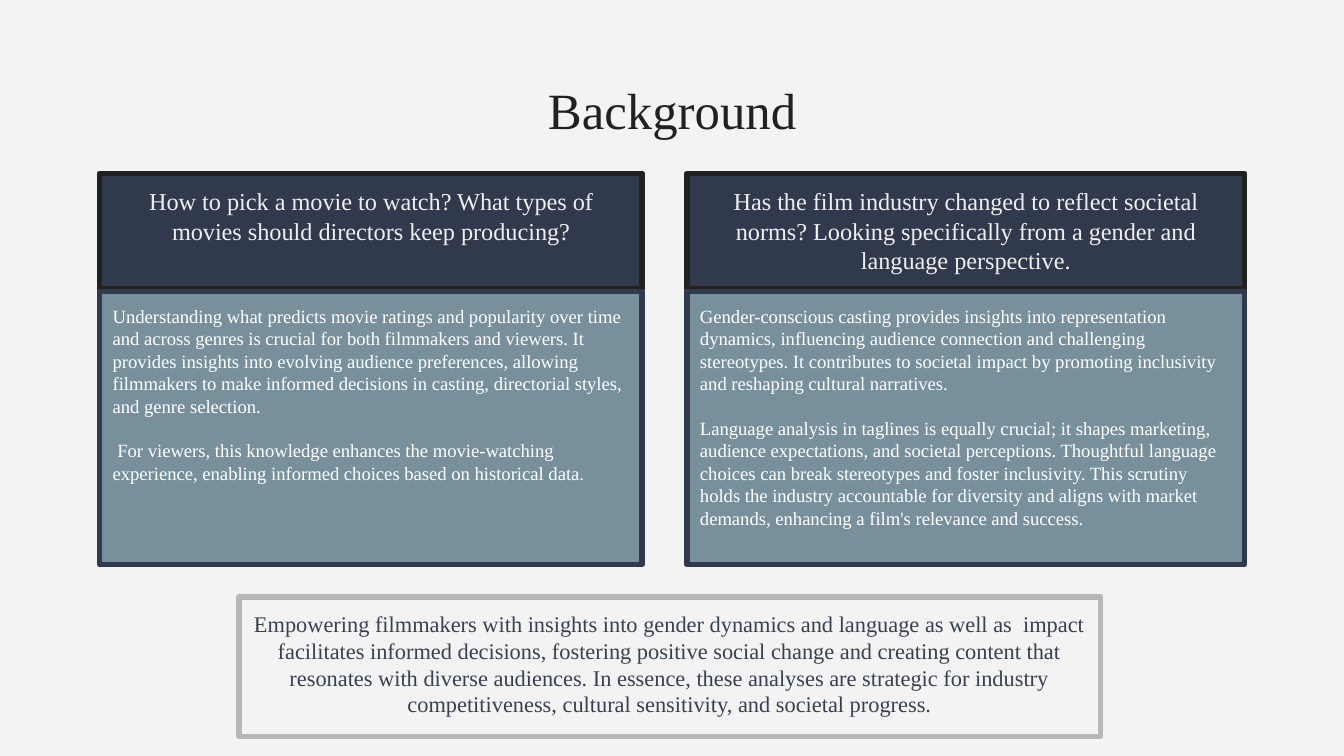
from pptx import Presentation
from pptx.dml.color import RGBColor
from pptx.enum.shapes import MSO_SHAPE
from pptx.enum.text import MSO_ANCHOR, PP_ALIGN
from pptx.util import Cm, Pt

BACKGROUND = RGBColor(0xF3, 0xF3, 0xF3)
BLACK = RGBColor(0x21, 0x21, 0x21)
NAVY = RGBColor(0x31, 0x39, 0x4D)
SLATE = RGBColor(0x78, 0x90, 0x9C)
GREY = RGBColor(0xB7, 0xB7, 0xB7)
PALE = RGBColor(0xEF, 0xEF, 0xEF)
WHITE = RGBColor(0xFF, 0xFF, 0xFF)
DARK_GREY = RGBColor(0x37, 0x41, 0x51)


def write_text(shape, *texts, size, color, align=PP_ALIGN.CENTER, gap=0):
    """Fill the shape with one paragraph per text, gap points apart."""
    frame = shape.text_frame
    frame.word_wrap = True
    frame.vertical_anchor = MSO_ANCHOR.TOP
    frame.margin_left = frame.margin_right = Cm(0.25)
    frame.margin_top = frame.margin_bottom = Cm(0.25)
    for index, text in enumerate(texts):
        paragraph = frame.add_paragraph() if index else frame.paragraphs[0]
        paragraph.alignment = align
        paragraph.space_before = Pt(gap if index else 0)
        run = paragraph.add_run()
        run.text = text
        run.font.name = "Times New Roman"
        run.font.size = Pt(size)
        run.font.color.rgb = color


def add_box(left, top, width, height, fill, line):
    box = slide.shapes.add_shape(
        MSO_SHAPE.RECTANGLE, Cm(left), Cm(top), Cm(width), Cm(height))
    box.shadow.inherit = False
    box.fill.solid()
    box.fill.fore_color.rgb = fill
    box.line.color.rgb = line
    box.line.width = Pt(3)
    return box


presentation = Presentation()
presentation.slide_width = Cm(25.4)
presentation.slide_height = Cm(14.29)
slide = presentation.slides.add_slide(presentation.slide_layouts[5])
slide.background.fill.solid()
slide.background.fill.fore_color.rgb = BACKGROUND

title = slide.shapes.title
title.left, title.top = Cm(0.87), Cm(1.24)
title.width, title.height = Cm(23.67), Cm(1.6)
write_text(title, "Background", size=27.2, color=BLACK)

columns = [
    (1.88, 10.26,
     "How to pick a movie to watch? What types of movies should directors "
     "keep producing?",
     ["Understanding what predicts movie ratings and popularity over time and "
      "across genres is crucial for both filmmakers and viewers. It provides "
      "insights into evolving audience preferences, allowing filmmakers to "
      "make informed decisions in casting, directorial styles, and genre "
      "selection.",
      " For viewers, this knowledge enhances the movie-watching experience, "
      "enabling informed choices based on historical data."]),
    (12.98, 10.54,
     "Has the film industry changed to reflect societal norms? Looking "
     "specifically from a gender and language perspective.",
     ["Gender-conscious casting provides insights into representation "
      "dynamics, influencing audience connection and challenging stereotypes. "
      "It contributes to societal impact by promoting inclusivity and "
      "reshaping cultural narratives.",
      "Language analysis in taglines is equally crucial; it shapes marketing, "
      "audience expectations, and societal perceptions. Thoughtful language "
      "choices can break stereotypes and foster inclusivity. This scrutiny "
      "holds the industry accountable for diversity and aligns with market "
      "demands, enhancing a film's relevance and success."]),
]
for left, width, question, answers in columns:
    header = add_box(left, 3.28, width, 2.18, NAVY, BLACK)
    write_text(header, question, size=13, color=PALE)
    body = add_box(left, 5.51, width, 5.16, SLATE, NAVY)
    write_text(body, *answers, size=10, color=WHITE,
               align=PP_ALIGN.LEFT, gap=12)

conclusion = add_box(4.52, 11.28, 16.28, 2.64, BACKGROUND, GREY)
write_text(
    conclusion,
    "Empowering filmmakers with insights into gender dynamics and language as "
    "well as  impact facilitates informed decisions, fostering positive social "
    "change and creating content that resonates with diverse audiences. In "
    "essence, these analyses are strategic for industry competitiveness, "
    "cultural sensitivity, and societal progress.",
    size=12, color=DARK_GREY)

presentation.save("out.pptx")
